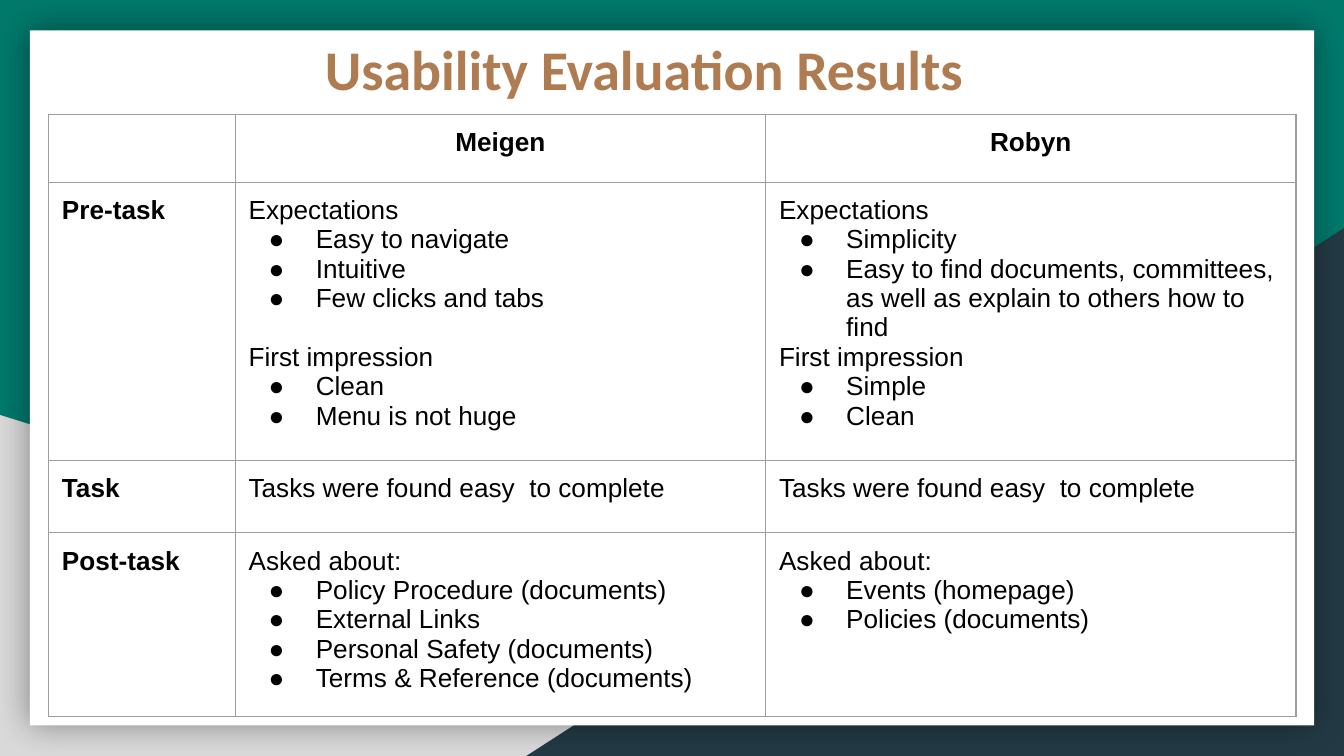
from dataclasses import dataclass

from lxml import etree
from pptx import Presentation
from pptx.dml.color import RGBColor
from pptx.enum.shapes import MSO_SHAPE
from pptx.enum.text import MSO_ANCHOR, PP_ALIGN
from pptx.oxml.ns import qn
from pptx.util import Pt

TRIANGLE = MSO_SHAPE.RIGHT_TRIANGLE
RECTANGLE = MSO_SHAPE.RECTANGLE
TOP = MSO_ANCHOR.TOP
LEFT, CENTER = PP_ALIGN.LEFT, PP_ALIGN.CENTER


@dataclass(frozen=True)
class Theme:
    green: str = "00796B"
    grey: str = "D9D9D9"
    navy: str = "233A44"
    white: str = "FFFFFF"
    bronze: str = "AF7B51"
    black: str = "000000"
    border: str = "9E9E9E"
    title_font: str = "Calibri"
    body_font: str = "Arial"
    title_size: float = 30
    body_size: float = 14
    line_height: float = 15.7
    inset: float = 7.2


THEME = Theme()
COLUMN_WIDTHS = (100, 284.2, 284.2)
ROW_HEIGHTS = (36.5, 140, 38.9, 93)
TASK_RESULT = "Tasks were found easy  to complete"

RESULTS = [
    ["", "Meigen", "Robyn"],
    [
        "Pre-task",
        [
            ("Expectations", ["Easy to navigate", "Intuitive", "Few clicks and tabs"]),
            ("First impression", ["Clean", "Menu is not huge"]),
        ],
        [
            ("Expectations", [
                "Simplicity",
                "Easy to find documents, committees, as well as explain to others how to find",
            ]),
            ("First impression", ["Simple", "Clean"]),
        ],
    ],
    ["Task", [(TASK_RESULT, [])], [(TASK_RESULT, [])]],
    [
        "Post-task",
        [("Asked about:", [
            "Policy Procedure (documents)",
            "External Links",
            "Personal Safety (documents)",
            "Terms & Reference (documents)",
        ])],
        [("Asked about:", ["Events (homepage)", "Policies (documents)"])],
    ],
]
GAP_CELLS = {(1, 1)}


def add_panel(page, kind, left, top, width, height, color, flipped=False):
    panel = page.shapes.add_shape(kind, Pt(left), Pt(top), Pt(width), Pt(height))
    panel.shadow.inherit = False
    panel.fill.solid()
    panel.fill.fore_color.rgb = RGBColor.from_string(color)
    panel.line.fill.background()
    if flipped:
        panel._element.spPr.find(qn("a:xfrm")).set("flipH", "1")
    return panel


def add_soft_shadow(panel, blur, opacity):
    effects = panel._element.spPr.find(qn("a:effectLst"))
    shadow = etree.SubElement(effects, qn("a:outerShdw"), blurRad=str(Pt(blur)), dist="0",
                              dir="0", algn="ctr", rotWithShape="0")
    color = etree.SubElement(shadow, qn("a:srgbClr"), val=THEME.black)
    etree.SubElement(color, qn("a:alpha"), val=str(opacity * 1000))


def write(para, text, font=THEME.body_font, size=THEME.body_size, color=THEME.black,
          bold=False, align=LEFT, before=0):
    para.alignment = align
    para.space_before = Pt(before)
    span = para.add_run()
    span.text = text
    span.font.name = font
    span.font.size = Pt(size)
    span.font.bold = bold
    span.font.color.rgb = RGBColor.from_string(color)


def add_bullet(para):
    settings = para._p.get_or_add_pPr()
    settings.set("marL", str(Pt(36)))
    settings.set("indent", str(Pt(-25.2)))
    color = etree.SubElement(settings, qn("a:buClr"))
    etree.SubElement(color, qn("a:srgbClr"), val=THEME.black)
    etree.SubElement(settings, qn("a:buFont"), typeface=THEME.body_font)
    etree.SubElement(settings, qn("a:buChar"), char="●")


def add_title(page, text):
    box = page.shapes.add_textbox(Pt(149), Pt(10), Pt(422), Pt(59))
    frame = box.text_frame
    frame.word_wrap = True
    frame.vertical_anchor = TOP
    frame.margin_left = Pt(25)
    frame.margin_top = Pt(8.5)
    write(frame.paragraphs[0], text, font=THEME.title_font, size=THEME.title_size,
          color=THEME.bronze, bold=True)


def style_cell(cell):
    cell.fill.background()
    cell.vertical_anchor = TOP
    cell.margin_left = cell.margin_right = Pt(THEME.inset)
    cell.margin_top = cell.margin_bottom = Pt(THEME.inset)
    settings = cell._tc.get_or_add_tcPr()
    for position, side in enumerate(("lnL", "lnR", "lnT", "lnB")):
        line = etree.Element(qn(f"a:{side}"), w=str(Pt(0.75)))
        fill = etree.SubElement(line, qn("a:solidFill"))
        etree.SubElement(fill, qn("a:srgbClr"), val=THEME.border)
        settings.insert(position, line)


def write_findings(cell, findings, gap):
    frame = cell.text_frame
    for index, (heading, points) in enumerate(findings):
        para = frame.add_paragraph() if index else frame.paragraphs[0]
        write(para, heading, before=gap if index else 0)
        for point in points:
            para = frame.add_paragraph()
            write(para, point)
            add_bullet(para)


def add_results_table(page, rows):
    frame = page.shapes.add_table(len(rows), len(COLUMN_WIDTHS), Pt(26), Pt(61.2),
                                  Pt(sum(COLUMN_WIDTHS)), Pt(sum(ROW_HEIGHTS)))
    table = frame.table
    table.first_row = False
    table.horz_banding = False
    for column, width in zip(table.columns, COLUMN_WIDTHS):
        column.width = Pt(width)
    for row, height in zip(table.rows, ROW_HEIGHTS):
        row.height = Pt(height)
    for row_index, row in enumerate(rows):
        for column_index, content in enumerate(row):
            cell = table.cell(row_index, column_index)
            style_cell(cell)
            if isinstance(content, list):
                gap = THEME.line_height if (row_index, column_index) in GAP_CELLS else 0
                write_findings(cell, content, gap)
            elif content:
                write(cell.text_frame.paragraphs[0], content, bold=True,
                      align=LEFT if row_index else CENTER)


def main():
    deck = Presentation()
    deck.slide_width, deck.slide_height = Pt(720), Pt(405)
    page = deck.slides.add_slide(deck.slide_layouts[6])
    page.background.fill.solid()
    page.background.fill.fore_color.rgb = RGBColor.from_string(THEME.green)

    add_panel(page, TRIANGLE, 0, 222.3, 580.3, 182.7, THEME.grey)
    add_panel(page, TRIANGLE, 282, 122.2, 438, 282.8, THEME.navy, flipped=True)
    card = add_panel(page, RECTANGLE, 16, 16.3, 688, 372.4, THEME.white)
    add_soft_shadow(card, blur=18, opacity=40)
    add_title(page, "Usability Evaluation Results")
    add_results_table(page, RESULTS)
    deck.save("out.pptx")


if __name__ == "__main__":
    main()
